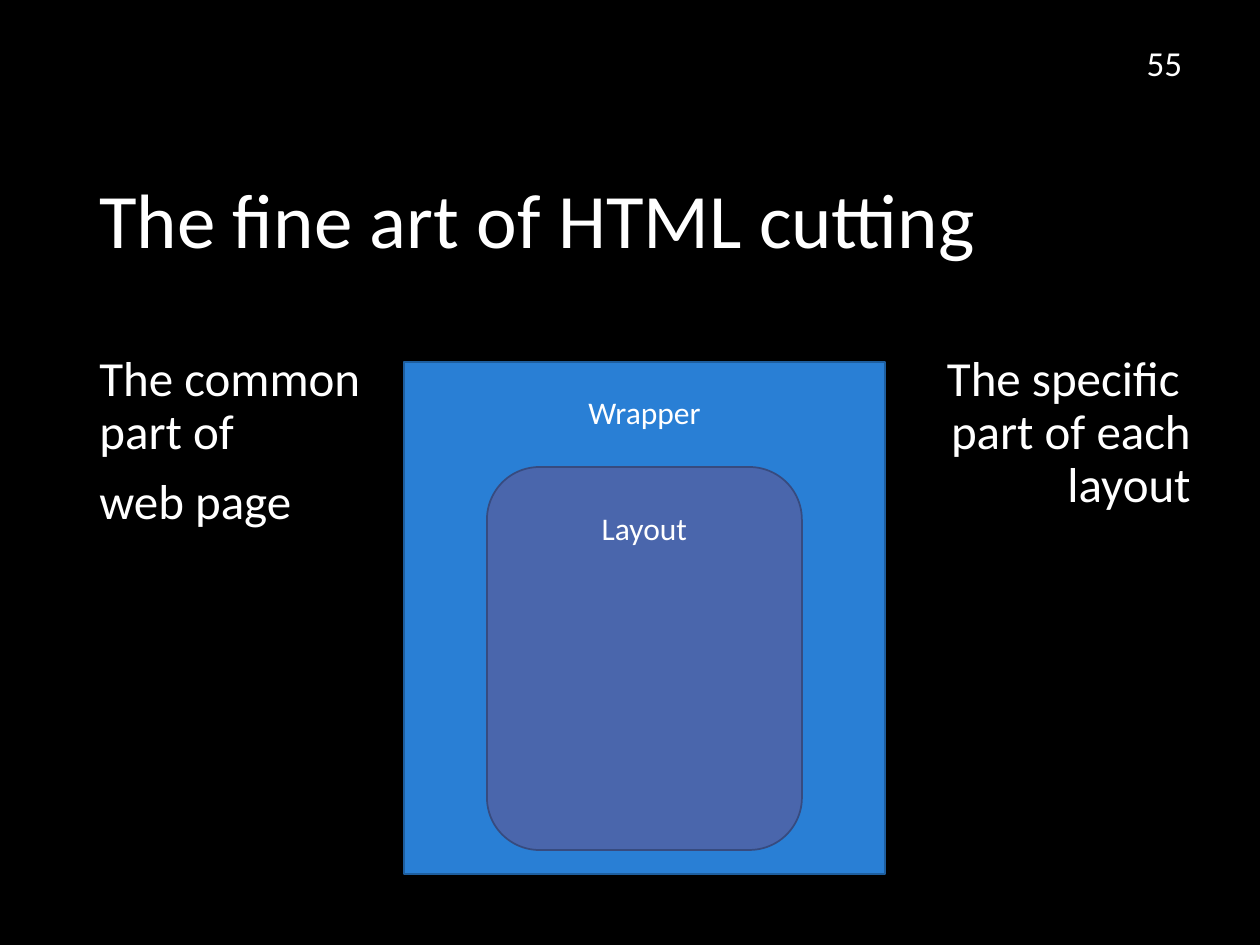
"""Build the slide on HTML cutting: a wrapper block holding a layout block."""
from pptx import Presentation
from pptx.dml.color import RGBColor
from pptx.enum.shapes import MSO_SHAPE as Shape
from pptx.enum.text import MSO_ANCHOR as Anchor, PP_ALIGN as Align
from pptx.util import Emu, Pt

PX = 914400 // 126
BLACK = RGBColor(0x00, 0x00, 0x00)
WHITE = RGBColor(0xFF, 0xFF, 0xFF)
BLUE = RGBColor(0x29, 0x7F, 0xD5)
BLUE_EDGE = RGBColor(0x1E, 0x5E, 0x9E)
INDIGO = RGBColor(0x4A, 0x66, 0xAC)
INDIGO_EDGE = RGBColor(0x37, 0x4B, 0x7F)

# paragraphs, place, size, alignment, anchor, line spacing
TEXTS = [
    (["The common\vpart of", "web page"], (87, 348, 294, 567), 28, Align.LEFT, Anchor.TOP, 0.9),
    (["The specific \vpart of each layout"], (833, 348, 370, 567), 28, Align.RIGHT, Anchor.TOP, 0.9),
    (["55"], (1102, 35, 125, 50), 20, Align.CENTER, Anchor.TOP, 1.0),
    (["The fine art of HTML cutting"], (87, 132, 1116, 183), 44, Align.LEFT, Anchor.MIDDLE, 0.9),
]
# label, preset, place, fill, edge, top inset
BLOCKS = [
    ("Wrapper", Shape.RECTANGLE, (404, 362, 481, 512), BLUE, BLUE_EDGE, 31),
    ("Layout", Shape.ROUNDED_RECTANGLE, (487, 467, 315, 383), INDIGO, INDIGO_EDGE, 27),
]


def scaled(place):
    return [Emu(value * PX) for value in place]


def write(box, paragraphs, size, align, anchor, spacing):
    frame = box.text_frame
    frame.word_wrap = True
    frame.vertical_anchor = anchor
    for index, text in enumerate(paragraphs):
        para = frame.add_paragraph() if index else frame.paragraphs[0]
        para.text = text
        para.alignment = align
        para.line_spacing = spacing
        if index:
            para.space_before = Pt(10)
        for span in para.runs:
            for name, value in {"name": "Calibri", "size": Pt(size)}.items():
                setattr(span.font, name, value)
            span.font.color.rgb = WHITE


def add_block(page, label, preset, place, fill, edge, inset):
    box = page.shapes.add_shape(preset, *scaled(place))
    box.shadow.inherit = False
    box.fill.solid()
    box.fill.fore_color.rgb = fill
    box.line.color.rgb = edge
    box.line.width = Pt(1)
    box.text_frame.margin_top = Emu(inset * PX)
    write(box, [label], 18, Align.CENTER, Anchor.TOP, 1.0)


def main():
    deck = Presentation()
    deck.slide_width, deck.slide_height = scaled((1260, 945))
    page = deck.slides.add_slide(deck.slide_layouts[6])
    page.background.fill.solid()
    page.background.fill.fore_color.rgb = BLACK
    for paragraphs, place, *style in TEXTS:
        write(page.shapes.add_textbox(*scaled(place)), paragraphs, *style)
    for block in BLOCKS:
        add_block(page, *block)
    deck.save("out.pptx")


if __name__ == "__main__":
    main()
